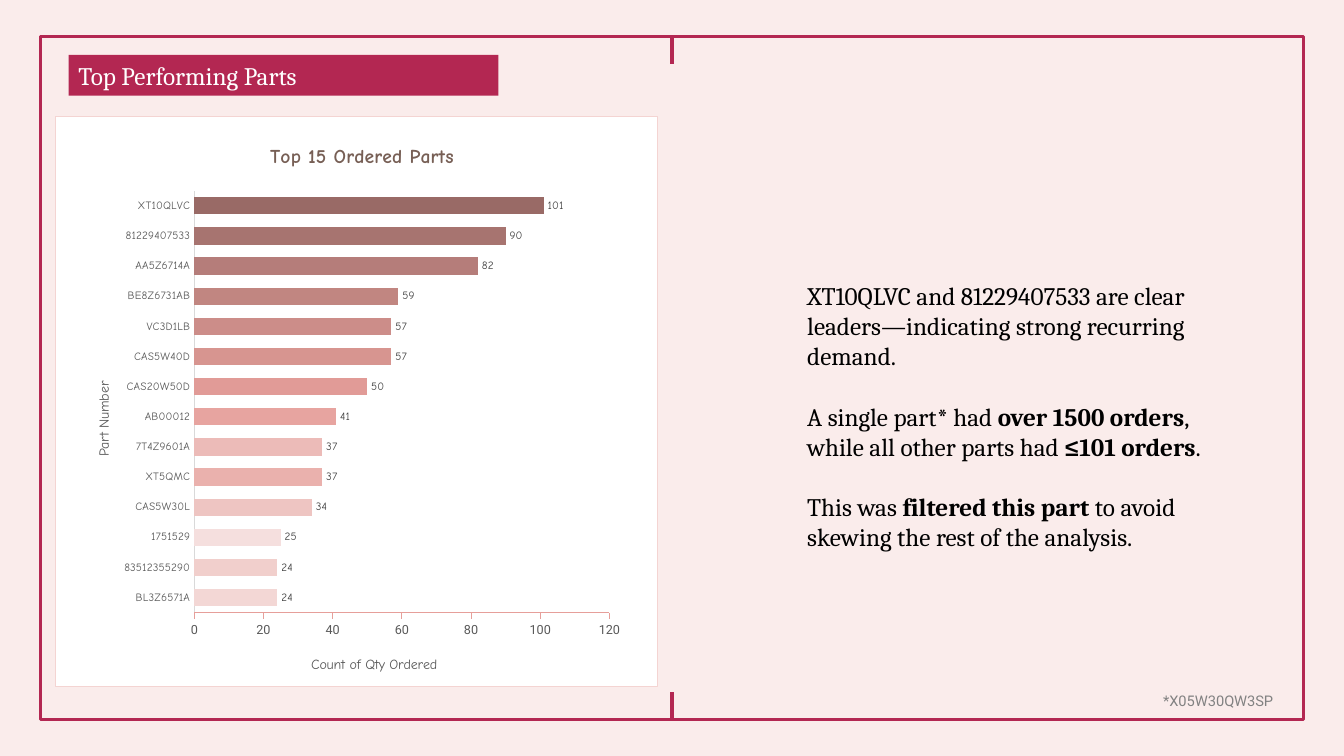
from lxml.etree import SubElement
from pptx import Presentation
from pptx.chart.data import CategoryChartData
from pptx.dml.color import RGBColor
from pptx.enum.chart import XL_CHART_TYPE, XL_LABEL_POSITION, XL_TICK_MARK
from pptx.enum.shapes import MSO_CONNECTOR, MSO_SHAPE
from pptx.enum.text import MSO_ANCHOR
from pptx.oxml import parse_xml
from pptx.oxml.ns import nsdecls, qn
from pptx.util import Pt

BLUSH = RGBColor(0xFA, 0xEC, 0xEB)
CRIMSON = RGBColor(0xB3, 0x27, 0x52)
WHITE = RGBColor(0xFF, 0xFF, 0xFF)
BLACK = RGBColor(0x00, 0x00, 0x00)
FOOTNOTE_GRAY = RGBColor(0x82, 0x82, 0x82)
AXIS_GRAY = RGBColor(0x59, 0x59, 0x59)
LABEL_GRAY = RGBColor(0x40, 0x40, 0x40)
LINE_GRAY = RGBColor(0xD9, 0xD9, 0xD9)
SALMON = RGBColor(0xE6, 0x9F, 0x9A)
PALE_PINK = RGBColor(0xF4, 0xD4, 0xD2)
TITLE_BROWN = RGBColor(0x77, 0x5F, 0x55)

PARTS = [
    ("BL3Z6571A", 24, RGBColor(0xF3, 0xD7, 0xD5)),
    ("83512355290", 24, RGBColor(0xF1, 0xCF, 0xCC)),
    ("1751529", 25, RGBColor(0xF5, 0xDF, 0xDE)),
    ("CAS5W30L", 34, RGBColor(0xEE, 0xC5, 0xC2)),
    ("XT5QMC", 37, RGBColor(0xEA, 0xB1, 0xAD)),
    ("7T4Z9601A", 37, RGBColor(0xEC, 0xBB, 0xB8)),
    ("AB00012", 41, RGBColor(0xE7, 0xA4, 0xA0)),
    ("CAS20W50D", 50, RGBColor(0xE1, 0x9B, 0x97)),
    ("CAS5W40D", 57, RGBColor(0xD7, 0x95, 0x90)),
    ("VC3D1LB", 57, RGBColor(0xCC, 0x8D, 0x89)),
    ("BE8Z6731AB", 59, RGBColor(0xC1, 0x86, 0x81)),
    ("AA5Z6714A", 82, RGBColor(0xB5, 0x7D, 0x7A)),
    ("81229407533", 90, RGBColor(0xA7, 0x74, 0x70)),
    ("XT10QLVC", 101, RGBColor(0x99, 0x6A, 0x66)),
]

FINDINGS = [
    [("XT10QLVC and 81229407533 are clear leaders—indicating strong recurring demand.", False)],
    [("A single part* had ", False), ("over 1500 orders", True),
     (", while all other parts had ", False), ("≤101 orders", True), (".", False)],
    [("This was", False), (" filtered this part", True),
     (" to avoid skewing the rest of the\u00a0analysis.", False)],
]


def style_font(font, size, color, name, bold=False):
    font.size, font.name, font.bold = Pt(size), name, bold
    font.color.rgb = color


def write(frame, paragraphs, size=18, color=BLACK, name="Cambria", gap=0, wrap=True):
    frame.word_wrap = wrap
    for index, runs in enumerate(paragraphs):
        paragraph = frame.paragraphs[0] if index == 0 else frame.add_paragraph()
        paragraph.space_before = Pt(gap if index else 0)
        for text, bold in runs:
            run = paragraph.add_run()
            run.text = text
            style_font(run.font, size, color, name, bold)


def place(element, x, y, width=None, height=None):
    for layout in element.findall(qn("c:layout")):
        element.remove(layout)
    layout = parse_xml(f"<c:layout {nsdecls('c')}/>")
    element.insert(0 if element.find(qn("c:tx")) is None else 1, layout)
    manual = SubElement(layout, qn("c:manualLayout"))
    settings = {"xMode": "edge", "yMode": "edge", "x": x, "y": y}
    if width:
        settings = {"layoutTarget": "inner", **settings, "w": width, "h": height}
    for tag, value in settings.items():
        SubElement(manual, qn(f"c:{tag}")).set("val", str(value))


def add_heading(title, text, x, y, size, color, bold=False):
    write(title.text_frame, [[(text, bold)]], size, color, "Comic Neue")
    place(title._element, x, y)


class SlideBuilder:
    def __init__(self, slide, accent, line_width):
        self.slide = slide
        self.accent = accent
        self.line_width = Pt(line_width)

    def rectangle(self, left, top, width, height, filled=False):
        box = self.slide.shapes.add_shape(
            MSO_SHAPE.RECTANGLE, Pt(left), Pt(top), Pt(width), Pt(height))
        box.shadow.inherit = False
        if filled:
            box.fill.solid()
            box.fill.fore_color.rgb = self.accent
            box.line.fill.background()
        else:
            box.fill.background()
            box.line.color.rgb = self.accent
            box.line.width = self.line_width
        return box

    def line(self, x, start, end):
        tick = self.slide.shapes.add_connector(
            MSO_CONNECTOR.STRAIGHT, Pt(x), Pt(start), Pt(x), Pt(end))
        tick.line.color.rgb = self.accent
        tick.line.width = self.line_width
        SubElement(tick._element.spPr, qn("a:effectLst"))
        return tick

    def text(self, left, top, width, height, paragraphs, **style):
        box = self.slide.shapes.add_textbox(Pt(left), Pt(top), Pt(width), Pt(height))
        write(box.text_frame, paragraphs, **style)

    def bar_chart(self, left, top, width, height, parts):
        data = CategoryChartData()
        data.categories = [part for part, _, _ in parts]
        data.add_series("Series 1", [orders for _, orders, _ in parts])
        chart = self.slide.shapes.add_chart(
            XL_CHART_TYPE.BAR_CLUSTERED, Pt(left), Pt(top), Pt(width), Pt(height), data).chart
        style_font(chart.font, 10, BLACK, "Roboto")
        chart.has_legend = False
        add_heading(chart.chart_title, "Top 15 Ordered Parts", 0.35, 0.04, 14, TITLE_BROWN, True)

        part_axis, orders_axis = chart.category_axis, chart.value_axis
        add_heading(part_axis.axis_title, "Part Number", 0.06, 0.46, 10, AXIS_GRAY)
        add_heading(orders_axis.axis_title, "Count of Qty Ordered", 0.42, 0.94, 10, AXIS_GRAY)
        for axis, size, name, color, tick in (
                (part_axis, 8, "Comic Neue", LINE_GRAY, XL_TICK_MARK.NONE),
                (orders_axis, 9, "Roboto", SALMON, XL_TICK_MARK.OUTSIDE)):
            style_font(axis.tick_labels.font, size, AXIS_GRAY, name)
            axis.has_major_gridlines = False
            axis.major_tick_mark = tick
            axis.minor_tick_mark = XL_TICK_MARK.NONE
            axis.format.line.color.rgb = color
            axis.format.line.width = Pt(0.75)
        orders_axis.minimum_scale, orders_axis.maximum_scale = 0, 120
        orders_axis.major_unit = 20

        plot = chart.plots[0]
        plot.gap_width = 75
        plot.vary_by_categories = False
        plot.has_data_labels = True
        labels = plot.data_labels
        labels.show_value = True
        labels.position = XL_LABEL_POSITION.OUTSIDE_END
        style_font(labels.font, 8, LABEL_GRAY, "Comic Neue")
        for index, (_, _, color) in enumerate(parts):
            bar = plot.series[0].points[index].format.fill
            bar.solid()
            bar.fore_color.rgb = color

        body = chart._chartSpace.find(qn("c:chart"))
        place(body.find(qn("c:plotArea")), 0.23, 0.13, 0.69, 0.74)
        body.addnext(parse_xml(
            f'<c:spPr {nsdecls("c", "a")}><a:solidFill><a:srgbClr val="{WHITE}"/></a:solidFill>'
            f'<a:ln w="{Pt(0.75)}"><a:solidFill><a:srgbClr val="{PALE_PINK}"/></a:solidFill></a:ln>'
            '</c:spPr>'))


def main():
    deck = Presentation()
    deck.slide_width, deck.slide_height = Pt(960), Pt(540)
    slide = deck.slides.add_slide(deck.slide_layouts[6])
    slide.background.fill.solid()
    slide.background.fill.fore_color.rgb = BLUSH
    builder = SlideBuilder(slide, CRIMSON, 2.25)

    frame = builder.rectangle(28.8, 26, 902.4, 488)
    builder.line(480, 514, 494.6).begin_connect(frame, 2)
    builder.line(480, 45.4, 26).end_connect(frame, 0)

    banner = builder.rectangle(49, 39.2, 307, 29.1, filled=True)
    banner.text_frame.vertical_anchor = MSO_ANCHOR.MIDDLE
    write(banner.text_frame, [[("Top Performing Parts", False)]], color=WHITE)
    banner.text_frame.paragraphs[0].alignment = 1

    builder.bar_chart(39.6, 83, 430.5, 408, PARTS)
    builder.text(569.5, 196.6, 310.5, 225.4, FINDINGS, gap=21.5)
    builder.text(823.7, 491, 100, 20, [[("*X05W30QW3SP", False)]],
                 size=10.5, color=FOOTNOTE_GRAY, name="Roboto", wrap=False)
    deck.save("out.pptx")


if __name__ == "__main__":
    main()
